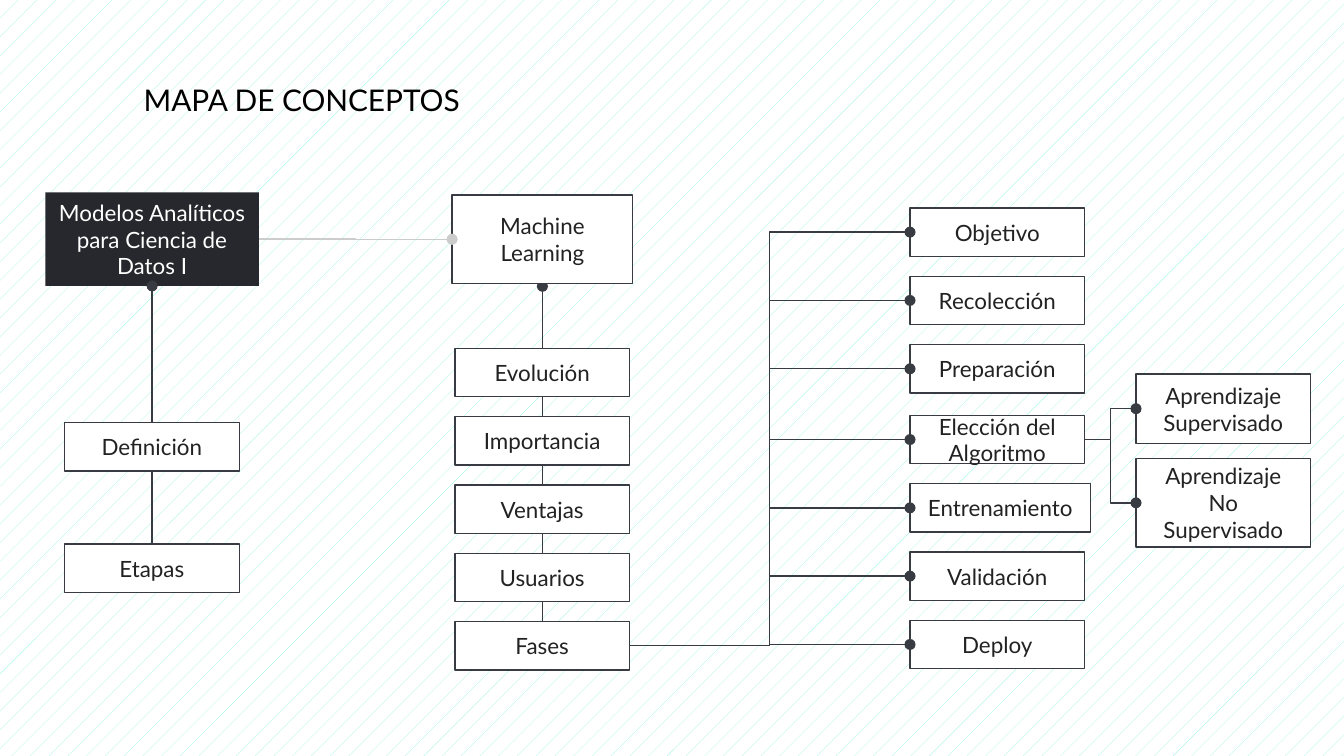
"""Build the concept map slide "MAPA DE CONCEPTOS"."""
from lxml.etree import SubElement
from pptx import Presentation
from pptx.dml.color import RGBColor
from pptx.enum.dml import MSO_PATTERN
from pptx.enum.shapes import MSO_CONNECTOR, MSO_SHAPE
from pptx.enum.text import MSO_ANCHOR, MSO_AUTO_SIZE, PP_ALIGN
from pptx.oxml.ns import qn
from pptx.util import Pt

color = RGBColor.from_string
DARK = "393B43"
TOP, LEFT, BOTTOM, RIGHT = range(4)
BOX_WIDTH, BOX_HEIGHT, PITCH = 93.6, 26, 36.6


def add_box(text, left, top, width=BOX_WIDTH, height=BOX_HEIGHT, fill="FFFFFF", ink="222222", outline=DARK):
    shape = slide.shapes.add_shape(MSO_SHAPE.RECTANGLE, Pt(left), Pt(top), Pt(width), Pt(height))
    shape.shadow.inherit = False
    shape.fill.solid()
    shape.fill.fore_color.rgb = color(fill)
    if outline:
        shape.line.color.rgb = color(outline)
        shape.line.width = Pt(0.75)
    else:
        shape.line.fill.background()
    frame = shape.text_frame
    frame.word_wrap = True
    frame.vertical_anchor = MSO_ANCHOR.MIDDLE
    frame.margin_left = frame.margin_right = frame.margin_top = frame.margin_bottom = Pt(7.2)
    paragraph = frame.paragraphs[0]
    paragraph.alignment = PP_ALIGN.CENTER
    run = paragraph.add_run()
    run.text = text
    run.font.name = "Lato"
    run.font.size = Pt(12)
    run.font.color.rgb = color(ink)
    return shape


def add_link(kind, start=(0, 0), end=(0, 0), ink=DARK, ends=("tailEnd",)):
    link = slide.shapes.add_connector(kind, *(Pt(value) for value in (*start, *end)))
    link.line.color.rgb = color(ink)
    link.line.width = Pt(0.75)
    for name in ends:
        SubElement(link.line._get_or_add_ln(), qn(f"a:{name}"), type="oval")
    SubElement(link._element.spPr, qn("a:effectLst"))
    return link


presentation = Presentation()
presentation.slide_width, presentation.slide_height = Pt(720), Pt(405)
slide = presentation.slides.add_slide(presentation.slide_layouts[5])
background = slide.background.fill
background.patterned()
background.pattern = MSO_PATTERN.PERCENT_5
background.fore_color.rgb = color("9DF4E2")
background.back_color.rgb = color("FFFFFF")

title = slide.shapes.title
title.left, title.top, title.width, title.height = Pt(69.8), Pt(36.7), Pt(193.7), Pt(33.8)
frame = title.text_frame
frame.word_wrap = True
frame.auto_size = MSO_AUTO_SIZE.SHAPE_TO_FIT_TEXT
frame.vertical_anchor = MSO_ANCHOR.TOP
frame.margin_left = frame.margin_right = frame.margin_top = frame.margin_bottom = Pt(7.2)
paragraph = frame.paragraphs[0]
paragraph.alignment = PP_ALIGN.LEFT
run = paragraph.add_run()
run.text = "MAPA DE CONCEPTOS"
run.font.name = "Lato"
run.font.size = Pt(16)
run.font.color.rgb = color("000000")

both_ends = ("headEnd", "tailEnd")
add_link(MSO_CONNECTOR.STRAIGHT, (290.6, 356.4), (290.6, 153.4), ends=both_ends)
course = add_box("Modelos Analíticos para Ciencia de Datos I", 24.3, 103, 114.4, 50.2, "27282D", "FFFFFF", None)
course_spine = add_link(MSO_CONNECTOR.STRAIGHT, (81.5, 305.3), (81.5, 153.2), ends=both_ends)
course_spine.end_connect(course, BOTTOM)

for text, top in (("Definición", 226.3), ("Etapas", 291.5)):
    add_box(text, 34.6, top)

machine_learning = add_box("Machine Learning", 242.2, 104.5, 96.8, 47.4)
for row, text in enumerate(("Evolución", "Importancia", "Ventajas", "Usuarios", "Fases")):
    phases = add_box(text, 243.7, 186.6 + row * PITCH)

course_link = add_link(MSO_CONNECTOR.ELBOW, ink="CCCCCC")
course_link.begin_connect(course, RIGHT)
course_link.end_connect(machine_learning, LEFT)

phase_groups = (
    (111.4, ("Objetivo", "Recolección", "Preparación")),
    (222.5, ("Elección del Algoritmo", "Entrenamiento", "Validación", "Deploy")),
)
phase_boxes = {}
for first_top, names in phase_groups:
    for row, text in enumerate(names):
        width = 96.8 if text == "Entrenamiento" else BOX_WIDTH
        phase_boxes[text] = add_box(text, 487.5, first_top + row * PITCH, width)

supervised = add_box("Aprendizaje Supervisado", 608.6, 200.4, height=37.2)
unsupervised = add_box("Aprendizaje No Supervisado", 608.6, 245.7, height=47.4)

choice = phase_boxes["Elección del Algoritmo"]
pairs = [(phases, box) for box in phase_boxes.values()]
pairs += [(choice, supervised), (choice, unsupervised)]
for source, target in pairs:
    link = add_link(MSO_CONNECTOR.ELBOW)
    link.begin_connect(source, RIGHT)
    link.end_connect(target, LEFT)

presentation.save("out.pptx")
